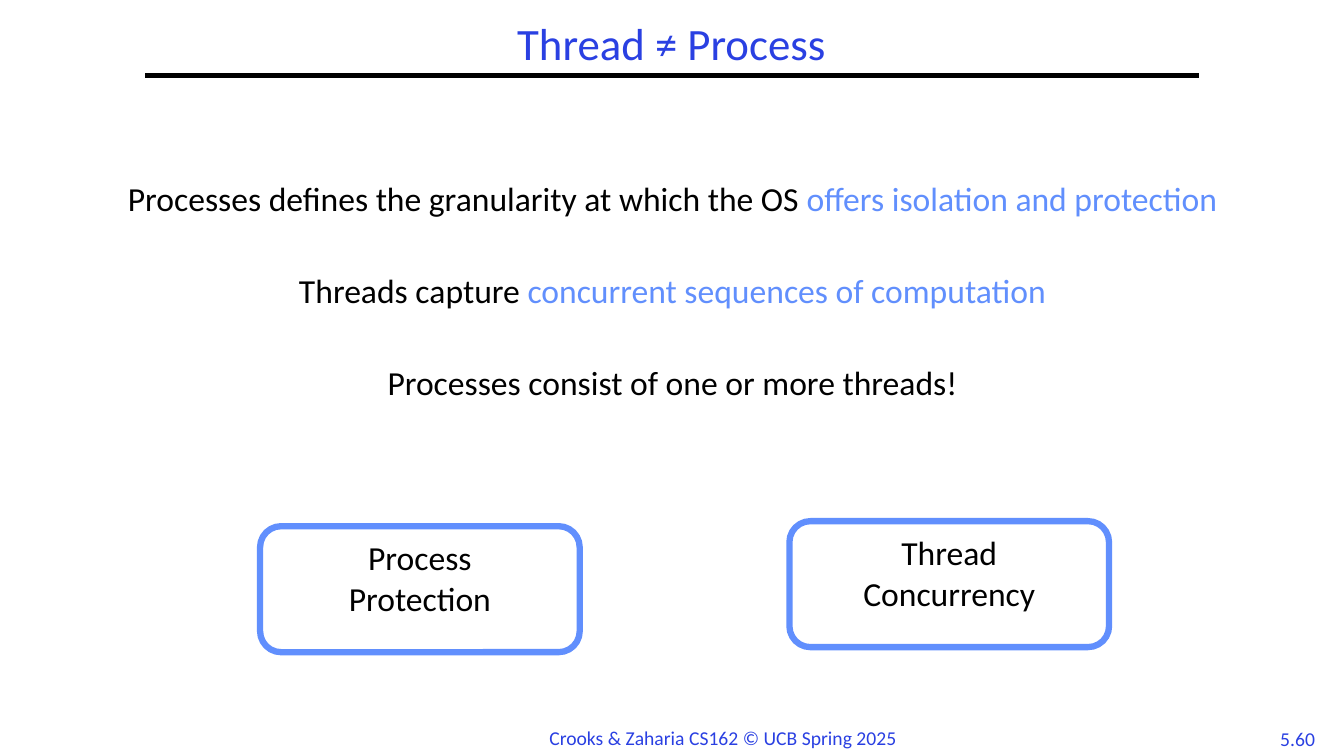
import pptx
import pptx.util
import pptx.dml.color
import pptx.enum.shapes
import pptx.enum.text
import pptx.oxml.ns
from lxml import etree
from pptx.util import Inches

COLORS = {"title": "2A40E2", "accent": "618FFD", "black": "000000", "white": "FFFFFF"}
ALIGN = pptx.enum.text.PP_ALIGN
ANCHOR = pptx.enum.text.MSO_ANCHOR


def rgb(name):
    return pptx.dml.color.RGBColor.from_string(COLORS[name])


def write(tf, paragraphs, size=24, align=ALIGN.CENTER, anchor=ANCHOR.TOP,
          wrap=True, spacing=None, before=0):
    """Fill a text frame with paragraphs, each a list of (text, colour) runs."""
    tf.word_wrap = wrap
    tf.vertical_anchor = anchor
    for i, runs in enumerate(paragraphs):
        p = tf.add_paragraph() if i else tf.paragraphs[0]
        p.alignment = align
        if spacing:
            p.line_spacing = spacing
        if i and before:
            p.space_before = pptx.util.Pt(before)
        for text, color in runs:
            r = p.add_run()
            r.text = text
            r.font.name = "Calibri"
            r.font.size = pptx.util.Pt(size)
            r.font.color.rgb = rgb(color)


def add_text(s, x, y, w, h, paragraphs, **fmt):
    sp = s.shapes.add_textbox(Inches(x), Inches(y), Inches(w), Inches(h))
    write(sp.text_frame, paragraphs, **fmt)


def add_rule(s, x1, x2, y):
    sp = s.shapes.add_connector(pptx.enum.shapes.MSO_CONNECTOR.STRAIGHT,
                                Inches(x1), Inches(y), Inches(x2), Inches(y))
    sp.line.color.rgb = rgb("black")
    sp.line.width = pptx.util.Pt(3)
    etree.SubElement(sp._element.spPr, pptx.oxml.ns.qn("a:effectLst"))


def add_card(s, x, y, lines):
    sp = s.shapes.add_shape(pptx.enum.shapes.MSO_SHAPE.ROUNDED_RECTANGLE,
                            Inches(x), Inches(y), Inches(3.17), Inches(1.25))
    sp.shadow.inherit = False
    sp.fill.solid()
    sp.fill.fore_color.rgb = rgb("white")
    sp.line.color.rgb = rgb("accent")
    sp.line.width = pptx.util.Pt(4.5)
    write(sp.text_frame, [[(line, "black")] for line in lines])


def main():
    prs = pptx.Presentation()
    prs.slide_width, prs.slide_height = Inches(13.33), Inches(7.5)
    s = prs.slides.add_slide(prs.slide_layouts[6])

    add_text(s, 1.44, 0.17, 10.44, 0.58, [[("Thread ≠ Process", "title")]],
             size=32, anchor=ANCHOR.MIDDLE, spacing=0.9)
    add_rule(s, 1.44, 11.89, 0.75)
    add_text(s, 0.89, 1.76, 11.56, 2.4, [
        [("Processes defines the granularity at which the OS ", "black"),
         ("offers isolation and protection", "accent")],
        [("Threads capture ", "black"),
         ("concurrent sequences of computation", "accent")],
        [("Processes consist of one or more threads!", "black")],
    ], spacing=0.9, before=40)

    add_card(s, 2.58, 5.22, ["Process", "Protection"])
    add_card(s, 7.83, 5.17, ["Thread", "Concurrency"])

    add_text(s, 5.35, 7.15, 3.67, 0.34,
             [[("Crooks & Zaharia CS162 © UCB Spring 2025", "title")]],
             size=14, align=ALIGN.LEFT, wrap=False)
    add_text(s, 12.58, 7.16, 0.58, 0.33, [[("5.60", "title")]], size=14, wrap=False)
    prs.save("out.pptx")


if __name__ == "__main__":
    main()
